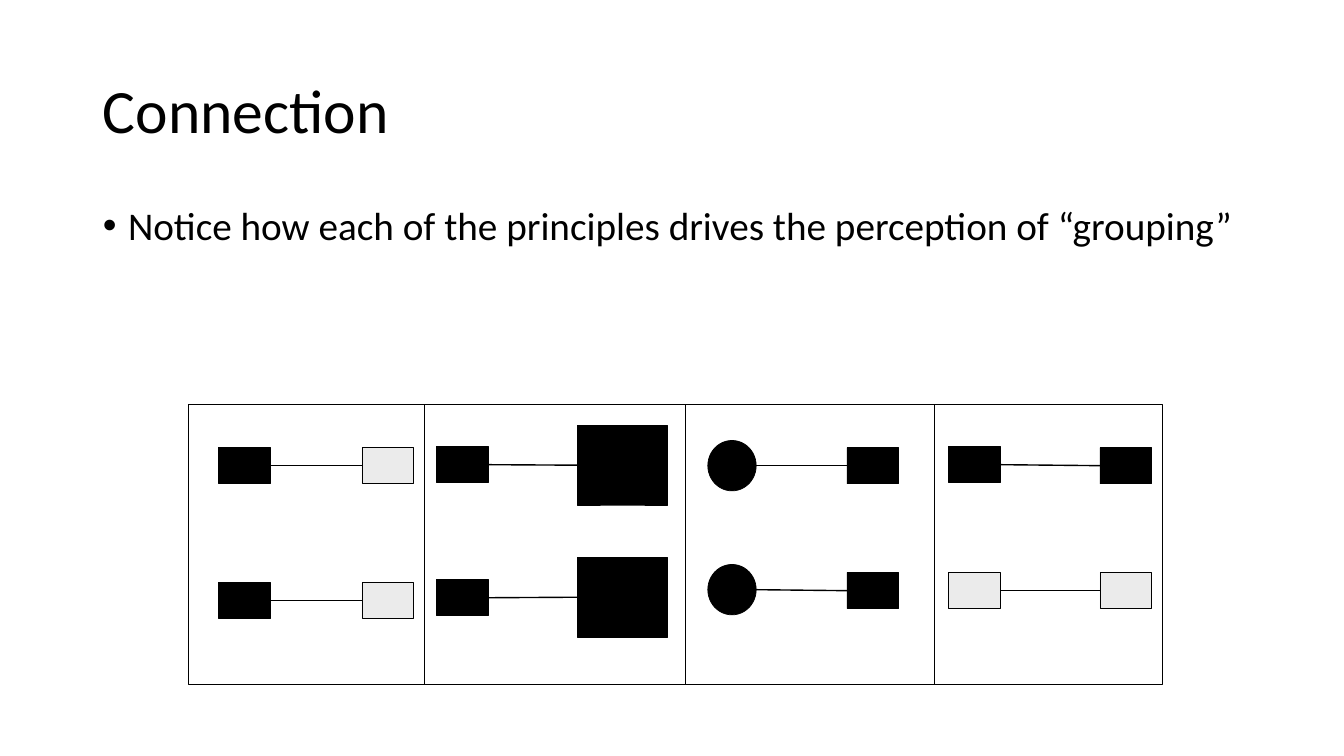
import pptx
import pptx.dml.color
import pptx.enum.shapes
import pptx.enum.text
import pptx.oxml.ns
import pptx.util
from lxml import etree

Inches = pptx.util.Inches
Pt = pptx.util.Pt
BLACK = pptx.dml.color.RGBColor(0x00, 0x00, 0x00)
RECTANGLE = pptx.enum.shapes.MSO_SHAPE.RECTANGLE
OVAL = pptx.enum.shapes.MSO_SHAPE.OVAL

MARKERS = {
    "dark": (RECTANGLE, 0.51, 0.36, 100),
    "pale": (RECTANGLE, 0.51, 0.36, 8),
    "large": (RECTANGLE, 0.89, 0.79, 100),
    "circle": (OVAL, 0.48, 0.5, 100),
}
PAIRS = [
    (("dark", 2.17, 4.44), ("pale", 3.59, 4.44)),
    (("dark", 2.17, 5.78), ("pale", 3.59, 5.78)),
    (("dark", 4.33, 4.43), ("large", 5.73, 4.22)),
    (("dark", 4.33, 5.75), ("large", 5.73, 5.53)),
    (("circle", 7.02, 4.37), ("dark", 8.4, 4.44)),
    (("circle", 7.02, 5.6), ("dark", 8.4, 5.68)),
    (("dark", 9.41, 4.43), ("dark", 10.91, 4.44)),
    (("pale", 9.41, 5.68), ("pale", 10.91, 5.68)),
]
PANEL_EDGES = [1.87, 4.21, 6.8, 9.27, 11.53]


class SlideBuilder:
    """Draws the elements of one slide in a shared black Calibri style."""

    def __init__(self, slide):
        self.slide = slide
        self.font = {"name": "Calibri"}
        self.outline = Pt(0.5)
        self.link = Pt(1)

    def placeholder(self, index, box, text, size, anchor, bullet=False):
        shape = self.slide.placeholders[index]
        shape.left, shape.top, shape.width, shape.height = map(Inches, box)
        frame = shape.text_frame
        frame.text = text
        paragraph = frame.paragraphs[0]
        if bullet:
            properties = paragraph._p.get_or_add_pPr()
            properties.set("marL", str(Inches(0.25)))
            properties.set("indent", str(Inches(-0.25)))
            mark = etree.SubElement(properties, pptx.oxml.ns.qn("a:buChar"))
            mark.set("char", "•")
        frame_format = {
            "word_wrap": True,
            "vertical_anchor": anchor,
            "auto_size": pptx.enum.text.MSO_AUTO_SIZE.NONE,
        }
        paragraph_format = {
            "alignment": pptx.enum.text.PP_ALIGN.LEFT,
            "line_spacing": 0.9,
            "space_before": Pt(0),
        }
        font_format = {**self.font, "size": Pt(size)}
        for target, values in (
            (frame, frame_format),
            (paragraph, paragraph_format),
            (paragraph.font, font_format),
        ):
            for name, value in values.items():
                setattr(target, name, value)
        paragraph.font.color.rgb = BLACK

    def shape(self, kind, left, top, width, height, opacity):
        box = map(Inches, (left, top, width, height))
        shape = self.slide.shapes.add_shape(kind, *box)
        shape.shadow.inherit = False
        shape.line.color.rgb = BLACK
        shape.line.width = self.outline
        if opacity == 0:
            shape.fill.background()
            return shape
        shape.fill.solid()
        shape.fill.fore_color.rgb = BLACK
        if opacity < 100:
            color = shape._element.spPr.find(".//" + pptx.oxml.ns.qn("a:srgbClr"))
            alpha = etree.SubElement(color, pptx.oxml.ns.qn("a:alpha"))
            alpha.set("val", str(opacity * 1000))
        return shape

    def marker(self, name, left, top):
        kind, width, height, opacity = MARKERS[name]
        return self.shape(kind, left, top, width, height, opacity)

    def connect(self, first, second):
        connector = self.slide.shapes.add_connector(
            pptx.enum.shapes.MSO_CONNECTOR.STRAIGHT,
            first.left + first.width,
            first.top + first.height // 2,
            second.left,
            second.top + second.height // 2,
        )
        connector.line.color.rgb = BLACK
        connector.line.width = self.link
        etree.SubElement(connector._element.spPr, pptx.oxml.ns.qn("a:effectLst"))


def main():
    presentation = pptx.Presentation()
    presentation.slide_width = Inches(13.33)
    presentation.slide_height = Inches(7.5)
    slide = presentation.slides.add_slide(presentation.slide_layouts[1])
    builder = SlideBuilder(slide)
    anchors = pptx.enum.text.MSO_ANCHOR
    builder.placeholder(0, (0.92, 0.4, 11.5, 1.45), "Connection", 44, anchors.MIDDLE)
    builder.placeholder(
        1,
        (0.92, 2, 11.5, 4.76),
        "Notice how each of the principles drives the perception of “grouping”",
        28,
        anchors.TOP,
        bullet=True,
    )
    for first, second in PAIRS:
        builder.connect(builder.marker(*first), builder.marker(*second))
    for left, right in zip(PANEL_EDGES, PANEL_EDGES[1:]):
        builder.shape(RECTANGLE, left, 4.01, right - left, 2.78, 0)
    presentation.save("out.pptx")


if __name__ == "__main__":
    main()
